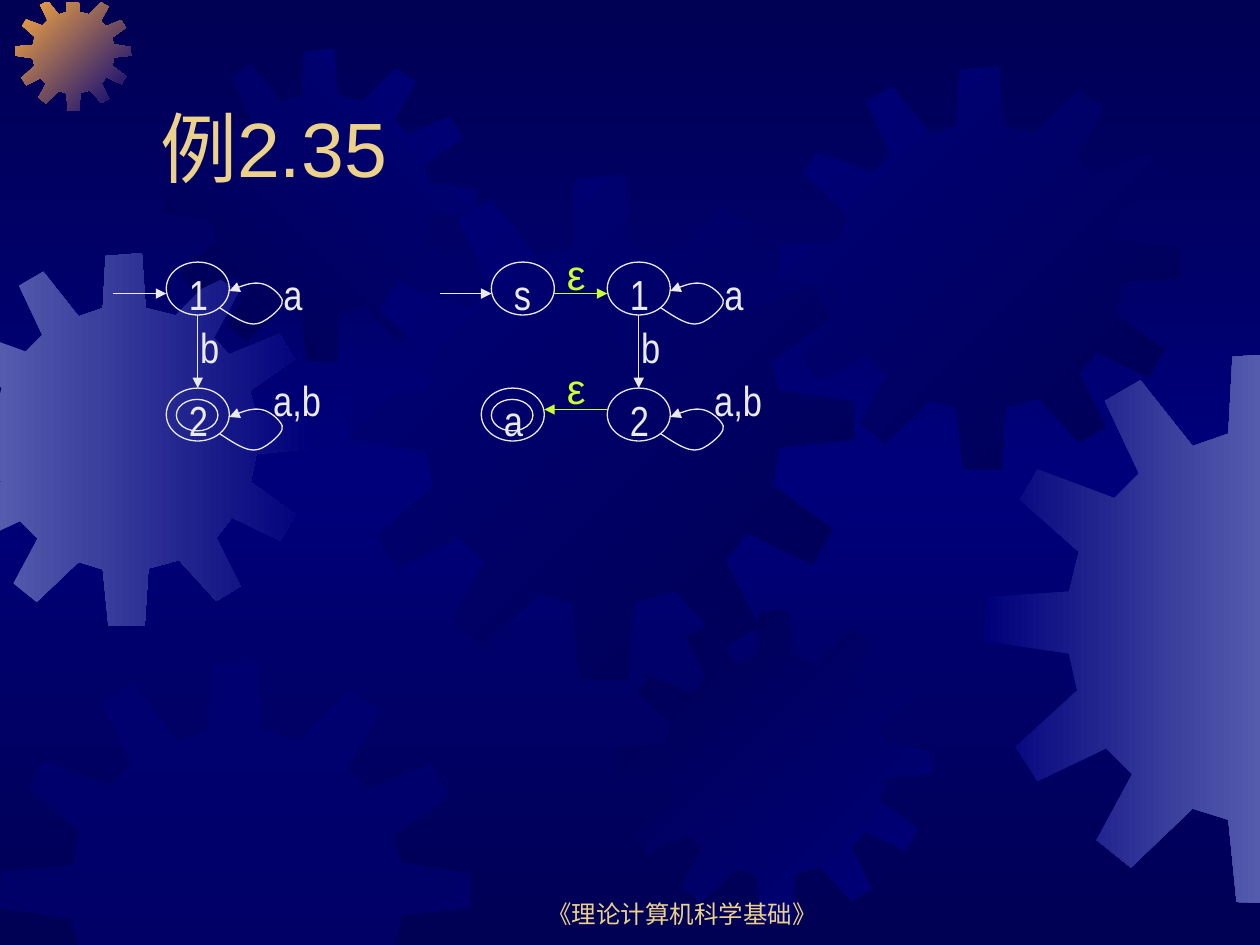
from copy import deepcopy

from lxml import etree
from pptx import Presentation
from pptx.dml.color import RGBColor
from pptx.enum.shapes import MSO_CONNECTOR, MSO_SHAPE
from pptx.enum.text import MSO_ANCHOR, MSO_AUTO_SIZE, PP_ALIGN
from pptx.oxml.ns import qn
from pptx.util import Inches, Pt

STRAIGHT = MSO_CONNECTOR.STRAIGHT
OVAL = MSO_SHAPE.OVAL
LEFT, CENTER = PP_ALIGN.LEFT, PP_ALIGN.CENTER
TOP, BOTTOM = MSO_ANCHOR.TOP, MSO_ANCHOR.BOTTOM
NO_FIT, GROW = MSO_AUTO_SIZE.NONE, MSO_AUTO_SIZE.SHAPE_TO_FIT_TEXT
COLORS = {"dark": "000054", "blue": "00007A", "pale": "555BAD",
          "orange": "FCAB40", "gold": "EBD189", "white": "EAEAEA",
          "lime": "CCFF33"}
RGB = {name: RGBColor.from_string(value) for name, value in COLORS.items()}


def set_text(sp, text, size, font, color, align=LEFT, anchor=TOP, fit=NO_FIT):
    tf = sp.text_frame
    frame = {"word_wrap": True, "auto_size": fit, "vertical_anchor": anchor}
    for name, value in frame.items():
        setattr(tf, name, value)
    p = tf.paragraphs[0]
    p.alignment = align
    r = p.add_run()
    r.text = text
    for name, value in {"size": Pt(size), "name": font}.items():
        setattr(r.font, name, value)
    r.font.color.rgb = RGB[color]


def set_line(sp, color="white", arrow=False):
    sp.line.color.rgb = RGB[color]
    sp.line.width = Pt(0.75)
    if arrow:
        ln = sp.line._get_or_add_ln()
        etree.SubElement(ln, qn("a:tailEnd"), type="triangle")


prs = Presentation()
prs.slide_width, prs.slide_height = Inches(10), Inches(7.5)
s = prs.slides.add_slide(prs.slide_layouts[5])

# Background: dark, blue, dark from top to bottom
fill = s.background.fill
fill.gradient()
fill.gradient_angle = 270
first = s.element.xpath(".//a:gs")[0]
first.addnext(deepcopy(first))
for stop, color, position in zip(fill.gradient_stops,
                                 ("dark", "blue", "dark"), (0, 0.5, 1)):
    stop.color.rgb = RGB[color]
    stop.position = position

# Gear outline, four units across
GEAR_SIZE = 4.01
GEAR = [
    (2.55, 0.67), (2.23, 0.59), (2.19, 0), (1.8, 0.03), (1.77, 0.59),
    (1.51, 0.68), (1.13, 0.2), (0.87, 0.35), (1.12, 0.88), (0.94, 1.06),
    (0.38, 0.85), (0.25, 1.07), (0.68, 1.45), (0.61, 1.74), (0.01, 1.78),
    (0, 2.1), (0.61, 2.19), (0.67, 2.46), (0.22, 2.87), (0.38, 3.12),
    (0.88, 2.88), (1.07, 3.07), (0.81, 3.55), (1.06, 3.75), (1.51, 3.32),
    (1.77, 3.4), (1.83, 4), (2.22, 4.01), (2.26, 3.39), (2.59, 3.3),
    (2.99, 3.74), (3.25, 3.58), (2.99, 3.06), (3.16, 2.84), (3.68, 3.09),
    (3.84, 2.81), (3.36, 2.46), (3.42, 2.16), (4.01, 2.1), (4, 1.8),
    (3.41, 1.71), (3.35, 1.48), (3.83, 1.14), (3.67, 0.87), (3.13, 1.09),
    (2.96, 0.91), (3.23, 0.41), (2.97, 0.25),
]

# Gears: left, top, size, gradient colours, clockwise angle
gears = [
    (-0.49, 2.01, 2.96, ("pale", "blue"), 0),
    (0.12, -0.04, 0.92, ("orange", "blue"), 45),
    (1.3, 0.39, 2.48, ("dark", "blue"), 315),
    (2.77, 1.39, 4.01, ("blue", "dark"), 45),
    (0, 5.25, 3.74, ("blue",), 0),
    (4.91, 4.84, 2.48, ("dark", "blue"), 45),
    (6.18, 0.53, 3.2, ("blue", "dark"), 45),
    (7.82, 2.8, 4.37, ("blue", "pale"), 0),
]
# Slide edges: axis, limit, side to keep
edges = [(0, 0, 1), (0, 10, -1), (1, 0.02, 1), (1, 7.5, -1)]
for left, top, size, colors, angle in gears:
    points = [(left + x * size / GEAR_SIZE, top + y * size / GEAR_SIZE)
              for x, y in GEAR]
    # Cut the outline at each slide edge
    for axis, limit, side in edges:
        kept = []
        for a, b in zip(points[-1:] + points[:-1], points):
            a_in, b_in = [(q[axis] - limit) * side >= 0 for q in (a, b)]
            if a_in != b_in:
                t = (limit - a[axis]) / (b[axis] - a[axis])
                kept.append((a[0] + t * (b[0] - a[0]), a[1] + t * (b[1] - a[1])))
            if b_in:
                kept.append(b)
        points = kept
    points = [(Inches(x), Inches(y)) for x, y in points]
    builder = s.shapes.build_freeform(*points[0])
    builder.add_line_segments(points[1:], close=True)
    sp = builder.convert_to_shape()
    sp.shadow.inherit = False
    sp.line.fill.background()
    if len(colors) == 2:
        sp.fill.gradient()
        sp.fill.gradient_angle = (360 - angle) % 360
        for stop, color in zip(sp.fill.gradient_stops, colors):
            stop.color.rgb = RGB[color]
    else:
        sp.fill.solid()
        sp.fill.fore_color.rgb = RGB[colors[0]]
        rgb = sp.element.xpath("./p:spPr/a:solidFill/a:srgbClr")[0]
        etree.SubElement(rgb, qn("a:alpha"), val="50000")

# Title, brought in front of the gears
title = s.shapes.title
title.left, title.top = Inches(1.17), Inches(0.33)
title.width, title.height = Inches(8.5), Inches(1.25)
set_text(title, "例2.35", 44, "Arial", "gold", anchor=BOTTOM)
title.element.getparent().append(title.element)

# Footer
footer = s.shapes.add_textbox(Inches(3.83), Inches(6.92), Inches(3.17), Inches(0.5))
set_text(footer, "《理论计算机科学基础》", 14, "Arial", "gold", CENTER, BOTTOM)

# The two automata share states 1 and 2; the second adds s and a
DX = 3.5
states = [(1.32, 2.08, "1"), (1.32, 3.08, "2"), (1.32 + DX, 2.08, "1"),
          (1.32 + DX, 3.08, "2"), (3.9, 2.08, "s"), (3.82, 3.08, "a")]
ovals = [(x, y, 0.5, 0.42) for x, y, name in states]
ovals += [(x, 3.17, 0.33, 0.25) for x in (1.4, 3.9)]  # accepting states
for oval in ovals:
    sp = s.shapes.add_shape(OVAL, *[Inches(v) for v in oval])
    sp.shadow.inherit = False
    sp.fill.background()
    set_line(sp)

# Straight transitions
arrows = [
    (0.9, 2.33, 1.32, 2.33, "white"),
    (1.57, 2.5, 1.57, 3.08, "white"),
    (3.49, 2.33, 3.9, 2.33, "white"),
    (4.4, 2.33, 4.82, 2.33, "lime"),
    (5.07, 2.5, 5.07, 3.08, "white"),
    (4.82, 3.25, 4.32, 3.25, "lime"),
]
for *ends, color in arrows:
    c = s.shapes.add_connector(STRAIGHT, *[Inches(v) for v in ends])
    set_line(c, color, arrow=True)
    etree.SubElement(c.element.spPr, qn("a:effectLst"))

# Self-loops: start point, then three points for each curve
LOOP = [(1.74, 2.44), (1.83, 2.5), (1.92, 2.56), (1.99, 2.57), (2.06, 2.58),
        (2.11, 2.54), (2.15, 2.51), (2.2, 2.47), (2.25, 2.42), (2.24, 2.38),
        (2.22, 2.33), (2.14, 2.26), (2.07, 2.25), (2, 2.24), (1.91, 2.27),
        (1.82, 2.31)]
for dx in (0, DX):
    for dy in (0, 1):
        points = [(Inches(x + dx), Inches(y + dy)) for x, y in LOOP]
        builder = s.shapes.build_freeform(*points[0])
        builder.add_line_segments(points[1:], close=False)
        sp = builder.convert_to_shape()
        sp.shadow.inherit = False
        sp.fill.background()
        set_line(sp, arrow=True)
        segments = sp.element.xpath(".//a:lnTo")
        for i in range(0, len(segments), 3):
            curve = etree.SubElement(segments[i].getparent(), qn("a:cubicBezTo"))
            for segment in segments[i:i + 3]:
                curve.append(segment[0])
                segment.getparent().remove(segment)

# State names and transition labels
labels = [(x + 0.08, y, 0.58, name, "Arial Narrow", "white")
          for x, y, name in states]
for dx in (0, DX):
    labels += [(x + dx, y, w, text, "Arial Narrow", "white") for x, y, w, text in
               ((2.15, 2.08, 0.58, "a"), (1.49, 2.5, 0.58, "b"),
                (2.07, 2.92, 0.67, "a,b"))]
labels += [(4.4, y, 0.58, "ε", "Arial", "lime") for y in (1.92, 2.83)]
for x, y, w, text, font, color in labels:
    sp = s.shapes.add_textbox(Inches(x), Inches(y), Inches(w), Inches(0.5))
    set_text(sp, text, 24, font, color, fit=GROW)

prs.save("out.pptx")
